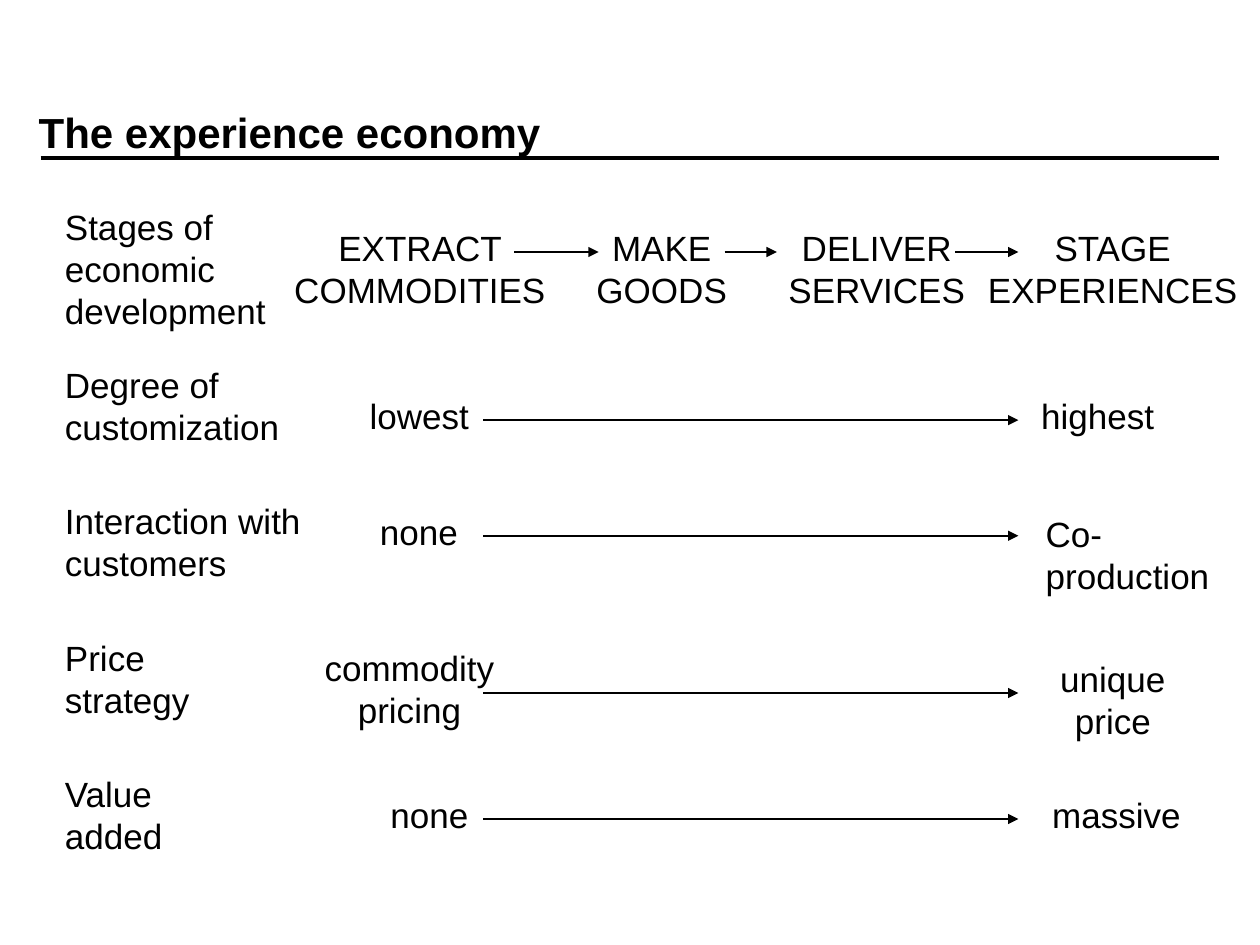
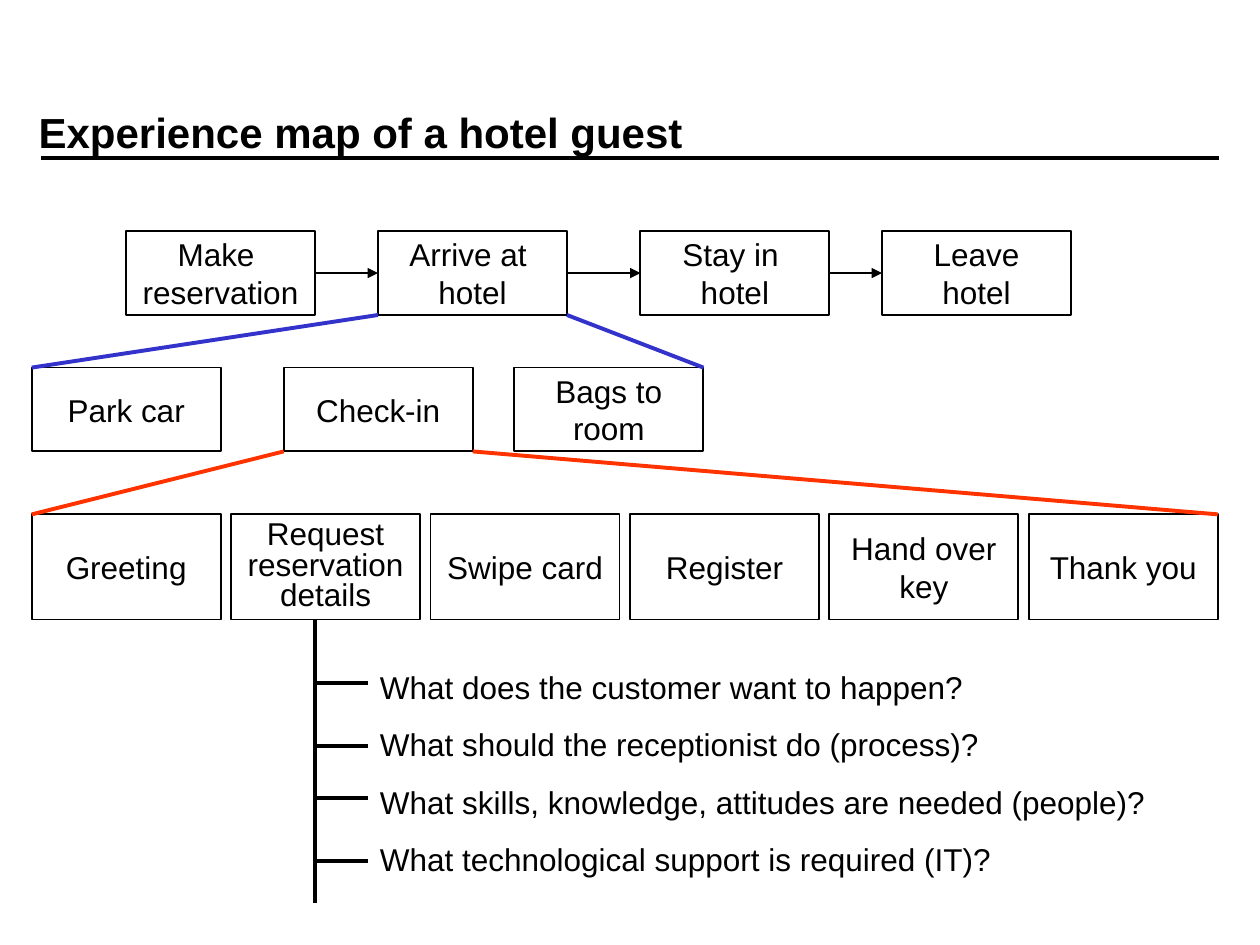
import pptx
import pptx.util
import pptx.dml.color
import pptx.enum.shapes
import pptx.enum.text
import pptx.oxml.ns
import lxml.etree

Cm = pptx.util.Cm
Pt = pptx.util.Pt
ALIGN = pptx.enum.text.PP_ALIGN
MIDDLE = pptx.enum.text.MSO_ANCHOR.MIDDLE
LEFT, CENTER = ALIGN.LEFT, ALIGN.CENTER
BLACK = pptx.dml.color.RGBColor(0x00, 0x00, 0x00)
BLUE = pptx.dml.color.RGBColor(0x33, 0x33, 0xCC)
RED = pptx.dml.color.RGBColor(0xFF, 0x33, 0x00)
FONT = "Arial"


def set_text(sp, text, size, align=LEFT, bold=False, wrap=True, before=0, spacing=1.0):
    tf = sp.text_frame
    tf.text = text
    tf.word_wrap = wrap
    for p in tf.paragraphs:
        p.alignment = align
        p.space_before = Pt(before)
        p.line_spacing = spacing
        for r in p.runs:
            r.font.name = FONT
            r.font.size = Pt(size)
            r.font.bold = bold
            r.font.color.rgb = BLACK


def add_line(slide, x1, y1, x2, y2, width, color=BLACK, arrow=False):
    line = slide.shapes.add_connector(
        pptx.enum.shapes.MSO_CONNECTOR.STRAIGHT, Cm(x1), Cm(y1), Cm(x2), Cm(y2))
    line.line.color.rgb = color
    line.line.width = Pt(width)
    if arrow:
        ln = line.line._get_or_add_ln()
        lxml.etree.SubElement(ln, pptx.oxml.ns.qn("a:tailEnd"), type="triangle")
    lxml.etree.SubElement(line._element.spPr, pptx.oxml.ns.qn("a:effectLst"))
    return line


prs = pptx.Presentation()
prs.slide_width = Cm(25.4)
prs.slide_height = Cm(19.05)

# Both slides: title over a full-width rule
slides = []
for title in ["The experience economy", "Experience map of a hotel guest"]:
    s = prs.slides.add_slide(prs.slide_layouts[6])
    add_line(s, 0.82, 3.18, 24.58, 3.18, 2)
    sp = s.shapes.add_textbox(Cm(0.53), Cm(1.06), Cm(21.59), Cm(3.18))
    set_text(sp, title, 24, bold=True)
    sp.text_frame.vertical_anchor = MIDDLE
    slides.append(s)
economy, hotel = slides

# Economy: row labels, stages, and lowest and highest values
ONE_LINE, TWO_LINES, THREE_LINES = 1.12, 1.96, 2.79
texts = [
    ("Stages of economic development", 1.06, 4.02, 5.93, THREE_LINES, LEFT),
    ("Degree of customization", 1.06, 7.2, 5.08, TWO_LINES, LEFT),
    ("Interaction with customers", 1.06, 9.95, 5.72, TWO_LINES, LEFT),
    ("Price strategy", 1.06, 12.7, 3.81, TWO_LINES, LEFT),
    ("Value added", 1.06, 15.45, 3.81, TWO_LINES, LEFT),
    ("EXTRACT COMMODITIES", 5.5, 4.45, 5.93, TWO_LINES, CENTER),
    ("MAKE GOODS", 11.01, 4.45, 4.66, TWO_LINES, CENTER),
    ("DELIVER SERVICES", 15.45, 4.45, 4.45, TWO_LINES, CENTER),
    ("STAGE EXPERIENCES", 19.46, 4.45, 5.94, TWO_LINES, CENTER),
    ("lowest", 7.2, 7.83, 2.54, ONE_LINE, LEFT),
    ("highest", 20.74, 7.83, 2.96, ONE_LINE, LEFT),
    ("none", 7.41, 10.16, 2.54, ONE_LINE, LEFT),
    ("Co-production", 20.83, 10.21, 3.96, TWO_LINES, LEFT),
    ("commodity pricing", 6.14, 12.91, 4.23, TWO_LINES, CENTER),
    ("unique price", 20.74, 13.12, 3.39, TWO_LINES, CENTER),
    ("none", 7.62, 15.88, 2.54, ONE_LINE, LEFT),
    ("massive", 20.96, 15.88, 3.39, ONE_LINE, LEFT),
]
for text, x, y, w, h, align in texts:
    sp = economy.shapes.add_textbox(Cm(x), Cm(y), Cm(w), Cm(h))
    set_text(sp, text, 20, align)

# Economy: arrows between stages, then along each row
for x1, x2 in [(10.37, 12.07), (14.61, 15.66), (19.26, 20.53)]:
    add_line(economy, x1, 5.08, x2, 5.08, 1, arrow=True)
for y in [8.47, 10.8, 13.97, 16.51]:
    add_line(economy, 9.74, y, 20.53, y, 1, arrow=True)

# Hotel: three levels of boxes
BOX_W = 3.81
STEP_XS = [2.54, 7.62, 12.91, 17.78]
ARRIVAL_XS = [0.64, 5.72, 10.37]
CHECKIN_XS = [0.64 + 4.02 * i for i in range(6)]
STEP_Y, ARRIVAL_Y, CHECKIN_Y = 4.66, 7.41, 10.37
BOX_H, CHECKIN_H = 1.69, 2.12
levels = [
    (STEP_Y, BOX_H, STEP_XS,
     ["Make \nreservation", "Arrive at \nhotel", "Stay in \nhotel", "Leave\nhotel"]),
    (ARRIVAL_Y, BOX_H, ARRIVAL_XS, ["Park car", "Check-in", "Bags to\nroom"]),
    (CHECKIN_Y, CHECKIN_H, CHECKIN_XS,
     ["Greeting", "Request\nreservation\ndetails", "Swipe card", "Register",
      "Hand over\nkey", "Thank you"]),
]
boxes = []
for y, h, xs, names in levels:
    for x, name in zip(xs, names):
        sp = hotel.shapes.add_shape(
            pptx.enum.shapes.MSO_SHAPE.RECTANGLE, Cm(x), Cm(y), Cm(BOX_W), Cm(h))
        sp.shadow.inherit = False
        sp.fill.background()
        sp.line.color.rgb = BLACK
        sp.line.width = Pt(1)
        spacing = 0.8 if name.count("\n") == 2 else 1.0
        set_text(sp, name, 18, CENTER, wrap=False, spacing=spacing)
        sp.text_frame.vertical_anchor = MIDDLE
        boxes.append(sp)

# Hotel: arrows joining the steps of the stay
steps = boxes[:len(STEP_XS)]
for a, b in zip(steps, steps[1:]):
    line = add_line(hotel, 0, 0, 1, 1, 1, arrow=True)
    line.begin_connect(a, 3)
    line.end_connect(b, 1)

# Hotel: lines opening one box into the level below
zooms = [
    (STEP_XS[1], STEP_Y + BOX_H, ARRIVAL_XS, ARRIVAL_Y, BLUE),
    (ARRIVAL_XS[1], ARRIVAL_Y + BOX_H, CHECKIN_XS, CHECKIN_Y, RED),
]
for x, bottom, xs, top, color in zooms:
    add_line(hotel, x, bottom, xs[0], top, 2.25, color)
    add_line(hotel, x + BOX_W, bottom, xs[-1] + BOX_W, top, 2.25, color)

# Hotel: questions hanging from the reservation request
add_line(hotel, 6.35, CHECKIN_Y + CHECKIN_H, 6.35, 18.2, 2.25)
for y in [13.76, 15.03, 16.09, 17.36]:
    add_line(hotel, 6.35, y, 7.41, y, 2.25)
questions = [
    "What does the customer want to happen?",
    "What should the receptionist do (process)?",
    "What skills, knowledge, attitudes are needed (people)?",
    "What technological support is required (IT)?",
]
sp = hotel.shapes.add_textbox(Cm(7.41), Cm(13.34), Cm(16.93), Cm(4.5))
set_text(sp, "\n".join(questions), 18, before=11.2)

prs.save("out.pptx")
